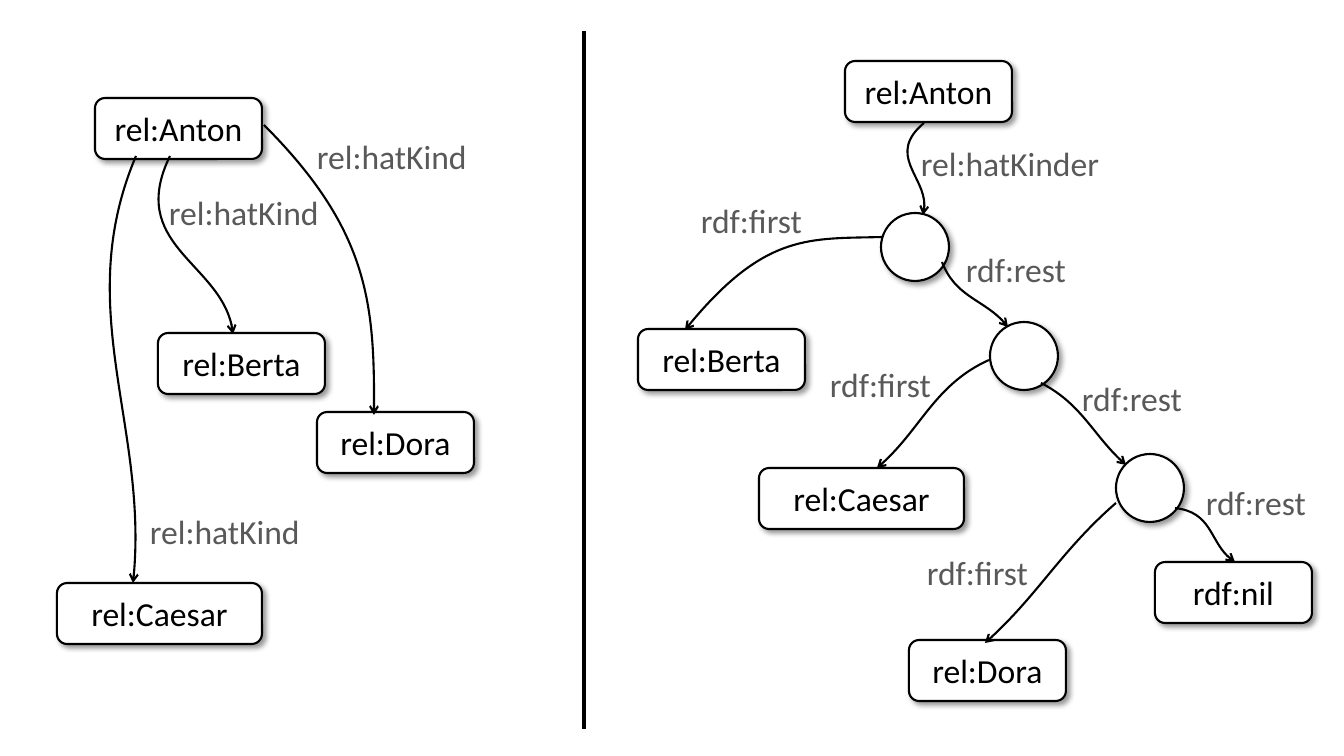
from pptx import Presentation
from pptx import util as u
from pptx.dml.color import RGBColor
from pptx.enum import shapes, text
from pptx.oxml import parse_xml
from pptx.oxml.ns import nsdecls, qn
from dataclasses import dataclass


@dataclass(frozen=True)
class Theme:
    """Colours, font and sizes of the diagram."""
    ink: RGBColor = RGBColor(0, 0, 0)
    label: RGBColor = RGBColor(0x59, 0x59, 0x59)
    paper: RGBColor = RGBColor(255, 255, 255)
    font: str = "Calibri"
    size: u.Pt = u.Pt(24)
    line: u.Pt = u.Pt(1.5)
    divider: u.Pt = u.Pt(2.25)


THEME = Theme()
EMU_PER_PIXEL = 914400 / 100.8
SLIDE_WIDTH, SLIDE_HEIGHT = 1344, 756
NODE_HEIGHT, LABEL_HEIGHT, CIRCLE_SIZE = 61, 50, 68
CURVE_STEPS = 40
NODE_WIDTHS = {"rel:Anton": 167, "rel:Berta": 167, "rel:Caesar": 205,
               "rel:Dora": 157, "rdf:nil": 157}
LABEL_WIDTHS = {"rel:hatKind": 180, "rel:hatKinder": 210,
                "rdf:first": 130, "rdf:rest": 130}

# Names with their left and top
NODES = [
    ("rel:Anton", 95, 98), ("rel:Berta", 158, 333),
    ("rel:Dora", 317, 412), ("rel:Caesar", 57, 583),
    ("rel:Anton", 845, 61), ("rel:Berta", 638, 329),
    ("rel:Caesar", 759, 468), ("rel:Dora", 909, 640), ("rdf:nil", 1155, 562),
]
BLANK_NODES = [(881, 213), (990, 322), (1116, 454)]
LABELS = [
    ("rel:hatKind", 307, 131), ("rel:hatKind", 159, 187),
    ("rel:hatKind", 140, 506), ("rel:hatKinder", 911, 138),
    ("rdf:rest", 956, 244), ("rdf:rest", 1072, 373), ("rdf:rest", 1196, 477),
    ("rdf:first", 917, 547), ("rdf:first", 820, 359), ("rdf:first", 691, 195),
]
# Start, two control points, end
ARROWS = [
    ((136, 156), (72, 307), (150, 429), (133, 583)),
    ((170, 156), (127, 244), (226, 264), (233, 334)),
    ((264, 125), (367, 228), (375, 305), (374, 415)),
    ((924, 123), (886, 155), (933, 181), (923, 215)),
    ((882, 237), (811, 239), (764, 232), (685, 330)),
    ((942, 262), (955, 296), (987, 300), (1008, 327)),
    ((989, 360), (936, 384), (920, 432), (877, 468)),
    ((1041, 383), (1080, 403), (1094, 437), (1126, 465)),
    ((1116, 503), (1062, 550), (1037, 597), (985, 643)),
    ((1175, 508), (1211, 512), (1210, 546), (1235, 562)),
]
DIVIDER = (584, 31, 584, 729)


def px(*lengths):
    """Turn pixel lengths into EMU."""
    return [u.Emu(round(length * EMU_PER_PIXEL)) for length in lengths]


def set_line(shape, width):
    """Give a shape or connector a plain ink line."""
    shape.line.color.rgb = THEME.ink
    shape.line.width = width


def write(shape, words, color, alignment, anchor):
    """Put one run of themed text into a shape."""
    frame = shape.text_frame
    frame.word_wrap = True
    frame.vertical_anchor = anchor
    paragraph = frame.paragraphs[0]
    paragraph.alignment = alignment
    run = paragraph.add_run()
    run.text = words
    run.font.name = THEME.font
    run.font.size = THEME.size
    run.font.color.rgb = color


def add_node(slide, kind, left, top, width, height):
    """Add a white outlined shape with a soft shadow."""
    shape = slide.shapes.add_shape(kind, *px(left, top, width, height))
    shape.fill.solid()
    shape.fill.fore_color.rgb = THEME.paper
    set_line(shape, THEME.line)
    shape.shadow.inherit = False
    shape.element.spPr.find(qn("a:effectLst")).append(parse_xml(
        f'<a:outerShdw {nsdecls("a")} blurRad="{u.Pt(4)}" dist="{u.Pt(3)}" '
        f'dir="2700000" algn="tl" rotWithShape="0"><a:srgbClr val="{THEME.ink}">'
        '<a:alpha val="40000"/></a:srgbClr></a:outerShdw>'))
    return shape


def add_label(slide, words, left, top):
    """Add the grey name of a relation."""
    box = slide.shapes.add_textbox(
        *px(left, top, LABEL_WIDTHS[words], LABEL_HEIGHT))
    write(box, words, THEME.label, text.PP_ALIGN.LEFT, text.MSO_ANCHOR.TOP)
    box.text_frame.auto_size = text.MSO_AUTO_SIZE.SHAPE_TO_FIT_TEXT


def curve_point(points, t):
    """Return the point of a cubic curve at t between 0 and 1."""
    weights = ((1 - t) ** 3, 3 * t * (1 - t) ** 2, 3 * t * t * (1 - t), t ** 3)
    return tuple(round(sum(w * p[axis] for w, p in zip(weights, points)))
                 for axis in (0, 1))


def add_arrow(slide, pixel_points):
    """Add a curved arrow whose box fits the curve tightly."""
    points = [px(*point) for point in pixel_points]
    builder = slide.shapes.build_freeform(*points[0])
    builder.add_line_segments(
        [curve_point(points, step / CURVE_STEPS)
         for step in range(1, CURVE_STEPS + 1)], close=False)
    shape = builder.convert_to_shape()
    shape.fill.background()
    set_line(shape, THEME.line)
    shape.shadow.inherit = False
    properties = shape.element.spPr
    # One true cubic segment takes the place of the sampled lines
    outline = next(properties.iter(qn("a:path")))
    for segment in outline.findall(qn("a:lnTo")):
        outline.remove(segment)
    marks = "".join(f'<a:pt x="{x - shape.left}" y="{y - shape.top}"/>'
                    for x, y in points[1:])
    outline.append(parse_xml(
        f'<a:cubicBezTo {nsdecls("a")}>{marks}</a:cubicBezTo>'))
    properties.find(qn("a:ln")).append(
        parse_xml(f'<a:tailEnd {nsdecls("a")} type="arrow"/>'))


def add_divider(slide):
    """Add the line between the two graphs."""
    line = slide.shapes.add_connector(
        shapes.MSO_CONNECTOR.STRAIGHT, *px(*DIVIDER))
    set_line(line, THEME.divider)
    line.element.spPr.append(parse_xml(f'<a:effectLst {nsdecls("a")}/>'))


def main():
    """Build and save the slide."""
    presentation = Presentation()
    presentation.slide_width, presentation.slide_height = px(
        SLIDE_WIDTH, SLIDE_HEIGHT)
    slide = presentation.slides.add_slide(presentation.slide_layouts[6])
    for name, left, top in NODES:
        node = add_node(slide, shapes.MSO_SHAPE.ROUNDED_RECTANGLE,
                        left, top, NODE_WIDTHS[name], NODE_HEIGHT)
        write(node, name, THEME.ink, text.PP_ALIGN.CENTER,
              text.MSO_ANCHOR.MIDDLE)
    for left, top in BLANK_NODES:
        add_node(slide, shapes.MSO_SHAPE.OVAL,
                 left, top, CIRCLE_SIZE, CIRCLE_SIZE)
    for points in ARROWS:
        add_arrow(slide, points)
    for label in LABELS:
        add_label(slide, *label)
    add_divider(slide)
    presentation.save("out.pptx")


main()
